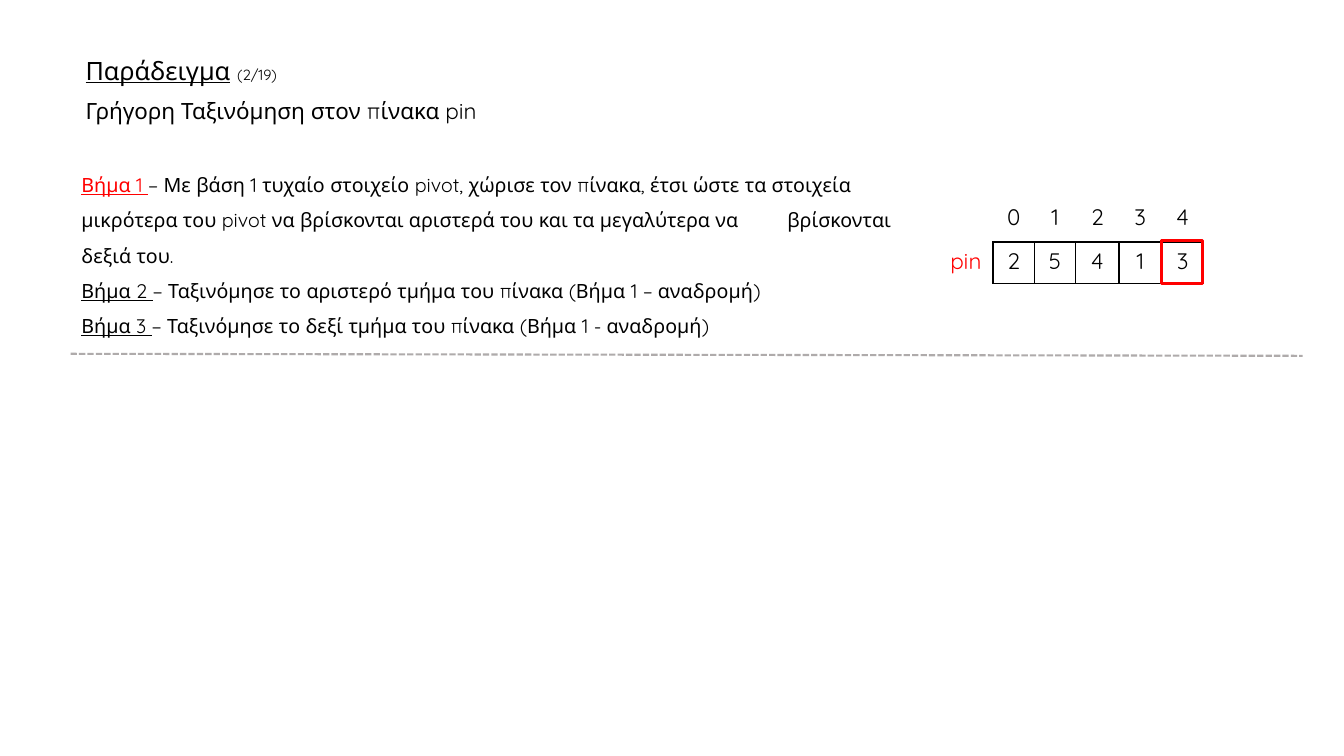
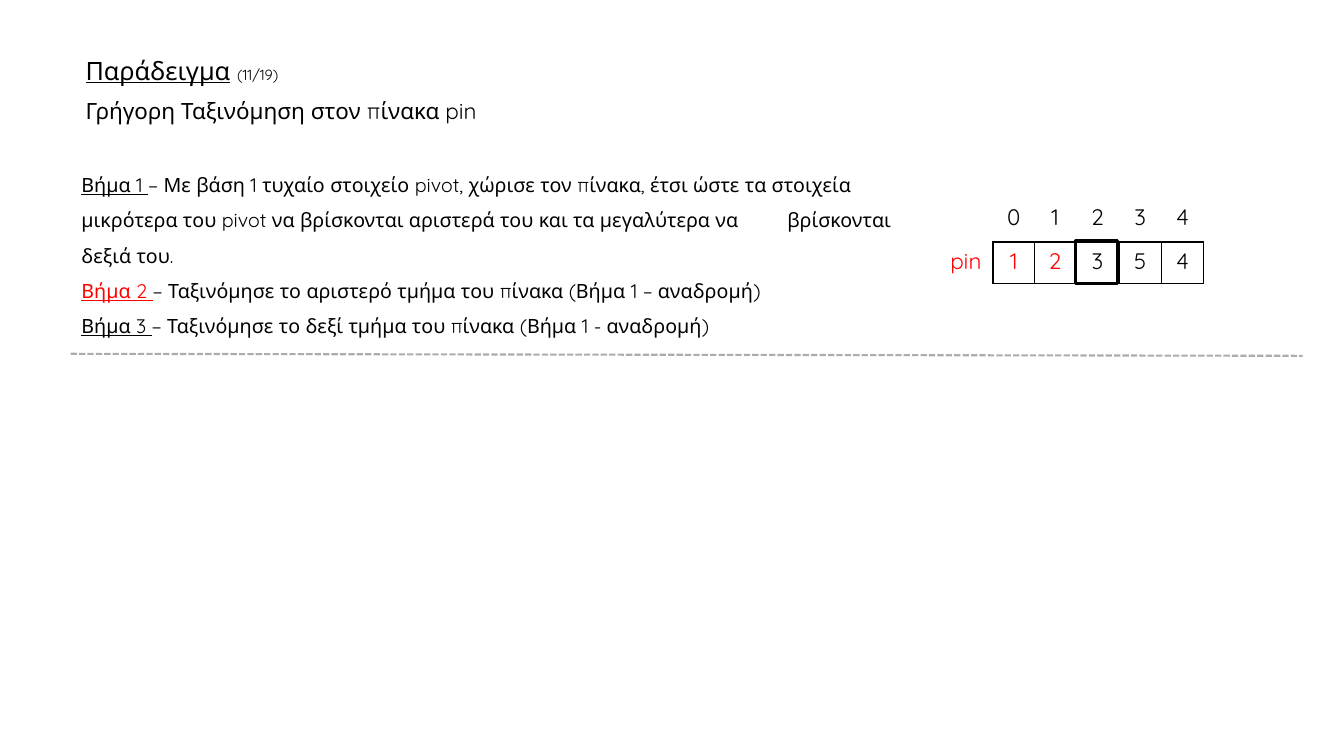
from itertools import accumulate

from lxml.etree import SubElement
from pptx import Presentation
from pptx.dml.color import RGBColor
from pptx.enum.dml import MSO_LINE
from pptx.enum.shapes import MSO_CONNECTOR, MSO_SHAPE
from pptx.enum.text import MSO_ANCHOR, PP_ALIGN
from pptx.oxml.ns import qn
from pptx.util import Inches, Pt

BLACK = RGBColor(0x00, 0x00, 0x00)
RED = RGBColor(0xFF, 0x00, 0x00)
GREY = RGBColor(0xAF, 0xAB, 0xAB)
FONT = "Quicksand"
TITLE_SIZE, COUNT_SIZE, SUBTITLE_SIZE, STEP_SIZE = 18, 10.5, 16, 14
BLANK_LAYOUT = 6

COLUMN = ROW = Inches(0.1)
ARRAY_LEFT, ARRAY_TOP = 93.1, 19.7
ARRAY_COLUMNS = [5.4, 4.1, 4.1, 4.3, 4.2, 4.2]
ARRAY_ROWS = [4.3, 4.1]
ARRAY_EDGES = list(accumulate(ARRAY_COLUMNS, initial=ARRAY_LEFT))

STEPS = [
    ("Βήμα 1 ", "− Με βάση 1 τυχαίο στοιχείο pivot, χώρισε τον πίνακα, έτσι ώστε τα στοιχεία "
                "\tμικρότερα του pivot να βρίσκονται αριστερά του και τα μεγαλύτερα να "
                "\tβρίσκονται δεξιά του."),
    ("Βήμα 2 ", "− Ταξινόμησε το αριστερό τμήμα του πίνακα (Βήμα 1 – αναδρομή)"),
    ("Βήμα 3 ", "− Ταξινόμησε το δεξί τμήμα του πίνακα (Βήμα 1 - αναδρομή)"),
]


def columns(count):
    return round(count * COLUMN)


def rows(count):
    return round(count * ROW)


class QuicksortDeck:
    def __init__(self):
        self.presentation = Presentation()
        self.presentation.slide_width = Inches(13.33)
        self.presentation.slide_height = Inches(7.5)
        self.slide = None

    def new_slide(self):
        layout = self.presentation.slide_layouts[BLANK_LAYOUT]
        self.slide = self.presentation.slides.add_slide(layout)

    def style(self, run, size, color=BLACK, underline=False):
        run.font.name = FONT
        run.font.size = Pt(size)
        run.font.color.rgb = color
        run.font.underline = underline

    def text(self, left, top, width, height, paragraphs, spacing, gap=0, anchor=MSO_ANCHOR.TOP):
        box = self.slide.shapes.add_textbox(columns(left), rows(top), columns(width), rows(height))
        frame = box.text_frame
        frame.word_wrap = True
        frame.vertical_anchor = anchor
        for index, pieces in enumerate(paragraphs):
            paragraph = frame.add_paragraph() if index else frame.paragraphs[0]
            paragraph.line_spacing = spacing
            paragraph.space_before = Pt(gap if index else 0)
            for wording, *look in pieces:
                run = paragraph.add_run()
                run.text = wording
                self.style(run, *look)

    def title(self, number):
        self.text(7.5, 5.2, 107.9, 7.7, [
            [("Παράδειγμα", TITLE_SIZE, BLACK, True), (" ", TITLE_SIZE),
             (f"({number}/19)", COUNT_SIZE)],
            [("Γρήγορη Ταξινόμηση στον πίνακα pin", SUBTITLE_SIZE)],
        ], spacing=0.9, gap=10, anchor=MSO_ANCHOR.MIDDLE)

    def steps(self, active):
        self.text(7.1, 15.5, 83.1, 18.2, [
            [(label, STEP_SIZE, RED if number == active else BLACK, True),
             (description, STEP_SIZE)]
            for number, (label, description) in enumerate(STEPS, 1)
        ], spacing=1.5)

    def borders(self, cell, sides):
        properties = cell._tc.get_or_add_tcPr()
        for side in "LRTB":
            line = SubElement(properties, qn(f"a:ln{side}"), w=str(Pt(1)))
            if side in sides:
                fill = SubElement(line, qn("a:solidFill"))
                SubElement(fill, qn("a:srgbClr"), val=str(BLACK))
            else:
                SubElement(line, qn("a:noFill"))

    def array(self, values, red_values):
        table = self.slide.shapes.add_table(
            len(ARRAY_ROWS), len(ARRAY_COLUMNS), columns(ARRAY_LEFT), rows(ARRAY_TOP),
            columns(sum(ARRAY_COLUMNS)), rows(sum(ARRAY_ROWS))).table
        table.first_row = table.horz_banding = False
        for column, width in zip(table.columns, ARRAY_COLUMNS):
            column.width = columns(width)
        for row, height in zip(table.rows, ARRAY_ROWS):
            row.height = rows(height)
        content = [["", *range(len(values))], ["pin", *values]]
        for r, line in enumerate(content):
            for c, value in enumerate(line):
                cell = table.cell(r, c)
                sides = ("LRTB" if r else "B") if c else ("R" if r else "")
                self.borders(cell, sides)
                cell.fill.background()
                paragraph = cell.text_frame.paragraphs[0]
                paragraph.text = str(value)
                paragraph.alignment = PP_ALIGN.CENTER
                red = r == 1 and (c == 0 or value in red_values)
                for run in paragraph.runs:
                    self.style(run, SUBTITLE_SIZE, RED if red else BLACK)

    def pivot(self, index, color):
        frame = self.slide.shapes.add_shape(
            MSO_SHAPE.RECTANGLE, columns(ARRAY_EDGES[index + 1]), rows(ARRAY_TOP + 4.2),
            columns(4.1), rows(4.2))
        frame.shadow.inherit = False
        frame.fill.background()
        frame.line.color.rgb = color
        frame.line.width = Pt(2.25)

    def divider(self):
        divider = self.slide.shapes.add_connector(
            MSO_CONNECTOR.STRAIGHT, columns(7), rows(35.1), columns(129.2), rows(35.3))
        divider.line.color.rgb = GREY
        divider.line.width = Pt(1.5)
        divider.line.dash_style = MSO_LINE.SQUARE_DOT
        SubElement(divider._element.spPr, qn("a:effectLst"))

    def example(self, number, active_step, values, red_values, pivot_index, pivot_color):
        self.new_slide()
        self.title(number)
        self.array(values, red_values)
        self.steps(active_step)
        self.divider()
        self.pivot(pivot_index, pivot_color)


def main():
    deck = QuicksortDeck()
    deck.example(2, 1, [2, 5, 4, 1, 3], [], 4, RED)
    deck.example(11, 2, [1, 2, 3, 5, 4], [1, 2], 2, BLACK)
    deck.presentation.save("out.pptx")


if __name__ == "__main__":
    main()
